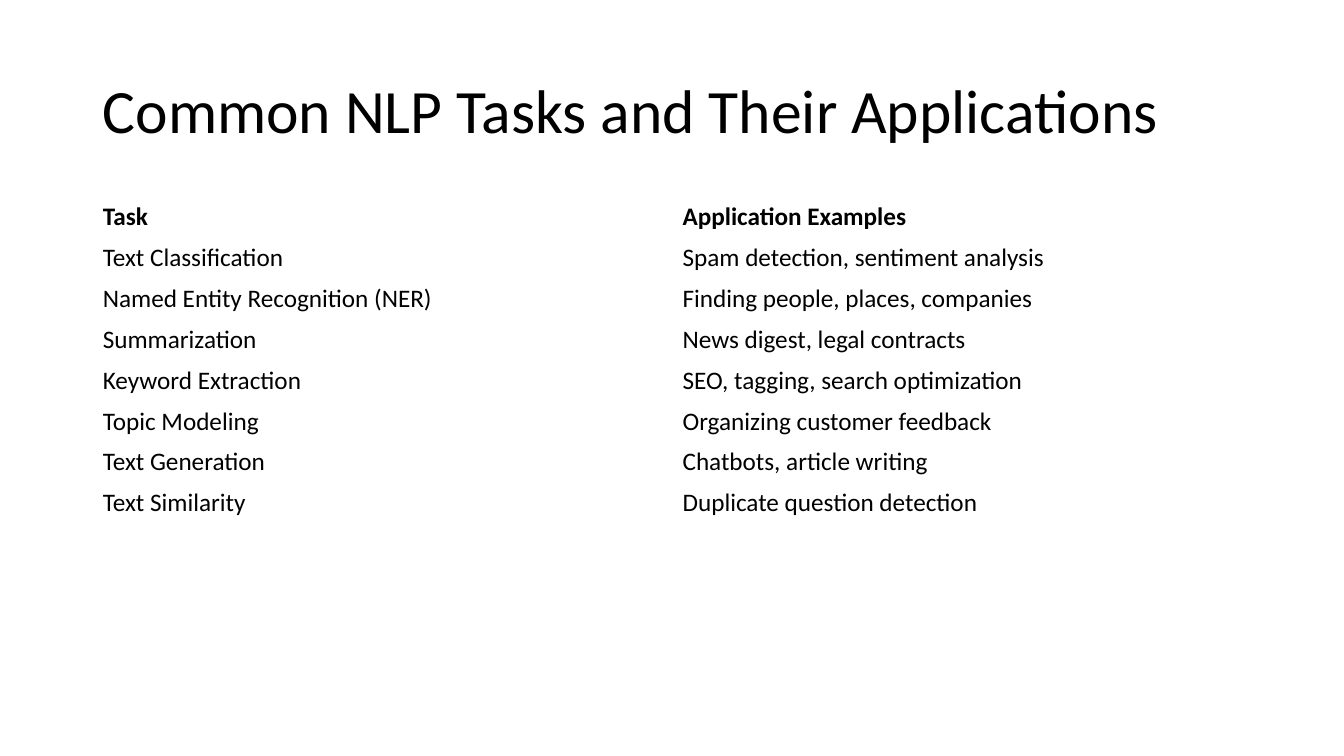
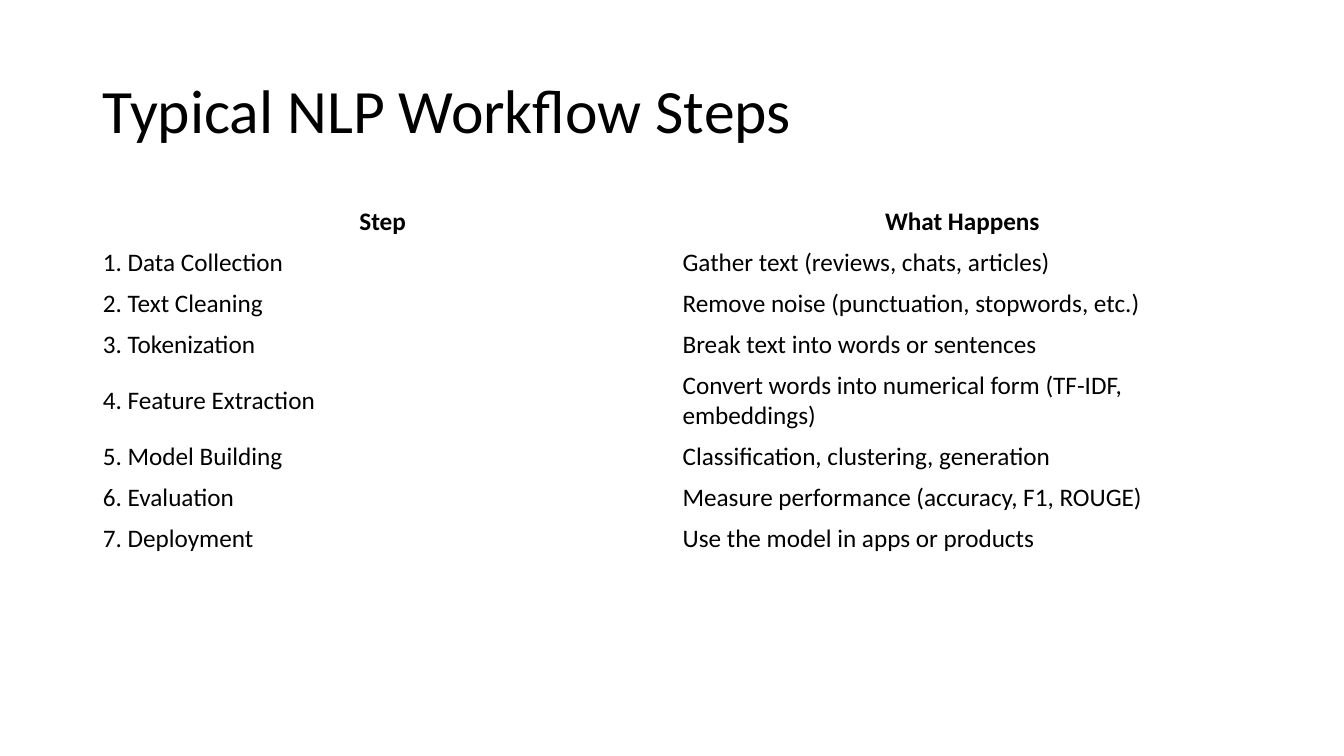
from dataclasses import dataclass

from pptx import Presentation
from pptx import util as u
from pptx.dml.color import RGBColor
from pptx.enum import text

EMU_PER_PX = 9144
TITLE_ONLY = 5
LEFT, WIDTH = 92, 1150
TITLE_TOP, TITLE_HEIGHT = 40, 145
ROW_HEIGHT = 40


@dataclass(frozen=True)
class Theme:
    font: str = "Calibri"
    ink: RGBColor = RGBColor(0, 0, 0)
    title_size: int = 44
    cell_size: int = 18
    title_spacing: float = 0.9


THEME = Theme()

TASKS = [
    ("Task", "Application Examples"),
    ("Text Classification", "Spam detection, sentiment analysis"),
    ("Named Entity Recognition (NER)", "Finding people, places, companies"),
    ("Summarization", "News digest, legal contracts"),
    ("Keyword Extraction", "SEO, tagging, search optimization"),
    ("Topic Modeling", "Organizing customer feedback"),
    ("Text Generation", "Chatbots, article writing"),
    ("Text Similarity", "Duplicate question detection"),
]

STEPS = [
    ("Step", "What Happens"),
    ("1. Data Collection", "Gather text (reviews, chats, articles)"),
    ("2. Text Cleaning", "Remove noise (punctuation, stopwords, etc.)"),
    ("3. Tokenization", "Break text into words or sentences"),
    ("4. Feature Extraction", "Convert words into numerical form (TF-IDF, embeddings)"),
    ("5. Model Building", "Classification, clustering, generation"),
    ("6. Evaluation", "Measure performance (accuracy, F1, ROUGE)"),
    ("7. Deployment", "Use the model in apps or products"),
]


def px(length):
    return u.Emu(length * EMU_PER_PX)


def write(frame, words, size, bold=False, align=text.PP_ALIGN.LEFT):
    frame.text = words
    para = frame.paragraphs[0]
    para.alignment = align
    for span in para.runs:
        span.font.name = THEME.font
        span.font.size = u.Pt(size)
        span.font.bold = bold
        span.font.color.rgb = THEME.ink
    return para


def add_page(deck, heading):
    page = deck.slides.add_slide(deck.slide_layouts[TITLE_ONLY])
    title = page.shapes.title
    title.left, title.top = px(LEFT), px(TITLE_TOP)
    title.width, title.height = px(WIDTH), px(TITLE_HEIGHT)
    title.text_frame.vertical_anchor = text.MSO_ANCHOR.MIDDLE
    para = write(title.text_frame, heading, THEME.title_size)
    para.line_spacing = THEME.title_spacing
    return page


def add_plain_table(page, rows, top, header_align):
    frame = page.shapes.add_table(
        len(rows), len(rows[0]), px(LEFT), px(top), px(WIDTH), px(ROW_HEIGHT * len(rows))
    )
    table = frame.table
    table.horz_banding = False
    for row_index, row in enumerate(rows):
        is_header = row_index == 0
        align = header_align if is_header else text.PP_ALIGN.LEFT
        for column_index, words in enumerate(row):
            cell = table.cell(row_index, column_index)
            cell.fill.background()
            cell.vertical_anchor = text.MSO_ANCHOR.MIDDLE
            write(cell.text_frame, words, THEME.cell_size, is_header, align)


def main():
    deck = Presentation()
    deck.slide_width, deck.slide_height = px(1333), px(750)
    page = add_page(deck, "Common NLP Tasks and Their Applications")
    add_plain_table(page, TASKS, 195, text.PP_ALIGN.LEFT)
    page = add_page(deck, "Typical NLP Workflow Steps")
    add_plain_table(page, STEPS, 200, text.PP_ALIGN.CENTER)
    deck.save("out.pptx")


if __name__ == "__main__":
    main()
